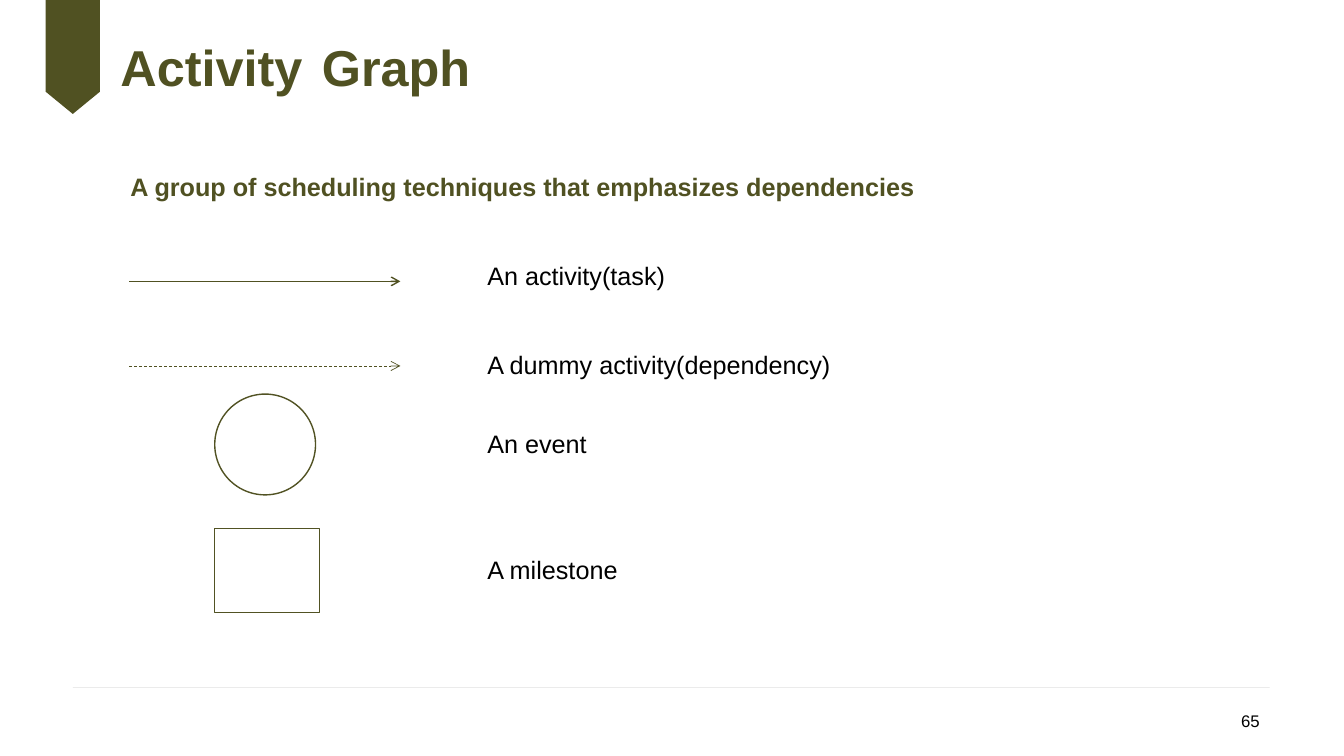
import pptx
import pptx.util
import pptx.dml.color
import pptx.enum.dml
import pptx.enum.shapes
import pptx.enum.text
import pptx.oxml.ns
from lxml import etree

Pt = pptx.util.Pt
ALIGN = pptx.enum.text.PP_ALIGN
ANCHOR = pptx.enum.text.MSO_ANCHOR
SHAPE = pptx.enum.shapes.MSO_SHAPE
DASH = pptx.enum.dml.MSO_LINE
COLORS = {"olive": "505122", "outline": "515223", "black": "000000", "rule": "BFBFBF"}
COLORS = {name: pptx.dml.color.RGBColor.from_string(code) for name, code in COLORS.items()}


def add_text(text, left, top, width, height, size=18, color="black", bold=False):
    """Add a wrapped one-paragraph text box and return it."""
    box = slide.shapes.add_textbox(Pt(left), Pt(top), Pt(width), Pt(height))
    box.text_frame.word_wrap = True
    para = box.text_frame.paragraphs[0]
    para.text = text
    para.font.name = "Arial"
    para.font.size = Pt(size)
    para.font.bold = bold
    para.font.color.rgb = COLORS[color]
    return box


def add_line(left, right, y, weight, color):
    """Add a horizontal connector without a shadow and return it."""
    line = slide.shapes.add_connector(
        pptx.enum.shapes.MSO_CONNECTOR.STRAIGHT, Pt(left), Pt(y), Pt(right), Pt(y))
    line.line.width = Pt(weight)
    line.line.color.rgb = COLORS[color]
    etree.SubElement(line._element.spPr, pptx.oxml.ns.qn("a:effectLst"))
    return line


deck = pptx.Presentation()
deck.slide_width, deck.slide_height = Pt(960), Pt(540)
slide = deck.slides.add_slide(deck.slide_layouts[6])

# Footer rule and title flag
rule = add_line(52, 907, 491, 0.25, "rule")
rule_color = rule._element.spPr.find(".//" + pptx.oxml.ns.qn("a:srgbClr"))
etree.SubElement(rule_color, pptx.oxml.ns.qn("a:alpha"), val="47000")

builder = slide.shapes.build_freeform(Pt(32.6), Pt(0))
builder.add_line_segments(
    [(Pt(x), Pt(y)) for x, y in [(71.4, 0), (71.4, 65.5), (52, 81.4), (32.6, 65.5)]])
flag = builder.convert_to_shape()
flag.shadow.inherit = False
flag.fill.solid()
flag.fill.fore_color.rgb = COLORS["olive"]
flag.line.fill.background()

# Title, page number and lead sentence
title = add_text("Activity\tGraph", 86, 19, 643, 62, 36, "olive", True)
frame = title.text_frame
frame.margin_left = frame.margin_right = frame.margin_top = frame.margin_bottom = 0
frame.vertical_anchor = ANCHOR.MIDDLE
frame.paragraphs[0].line_spacing = 0.9

page_number = add_text("65", 691, 500.5, 216, 29, 12)
page_number.text_frame.vertical_anchor = ANCHOR.MIDDLE
page_number.text_frame.paragraphs[0].alignment = ALIGN.RIGHT

add_text("A group of scheduling techniques that emphasizes dependencies",
         86, 119, 769, 29, 18, "olive", True)

# Legend symbols
for y, weight, dash in [(201, 1, DASH.SOLID), (261.4, 0.5, DASH.DASH)]:
    arrow = add_line(92.4, 286, y, weight, "olive")
    arrow.line.dash_style = dash
    etree.SubElement(arrow.line._get_or_add_ln(), pptx.oxml.ns.qn("a:tailEnd"), type="arrow")

for kind, top, width, height in [(SHAPE.OVAL, 281.5, 72, 72), (SHAPE.RECTANGLE, 377.5, 75, 60)]:
    symbol = slide.shapes.add_shape(kind, Pt(153.4), Pt(top), Pt(width), Pt(height))
    symbol.shadow.inherit = False
    symbol.fill.background()
    symbol.line.color.rgb = COLORS["outline"]
    symbol.line.width = Pt(1)

# Legend labels
for label, top in [("An activity(task)", 182.5), ("A dummy activity(dependency)", 246.3),
                   ("An event", 302.5), ("A milestone", 392.7)]:
    add_text(label, 341, top, 480, 29)

deck.save("out.pptx")
